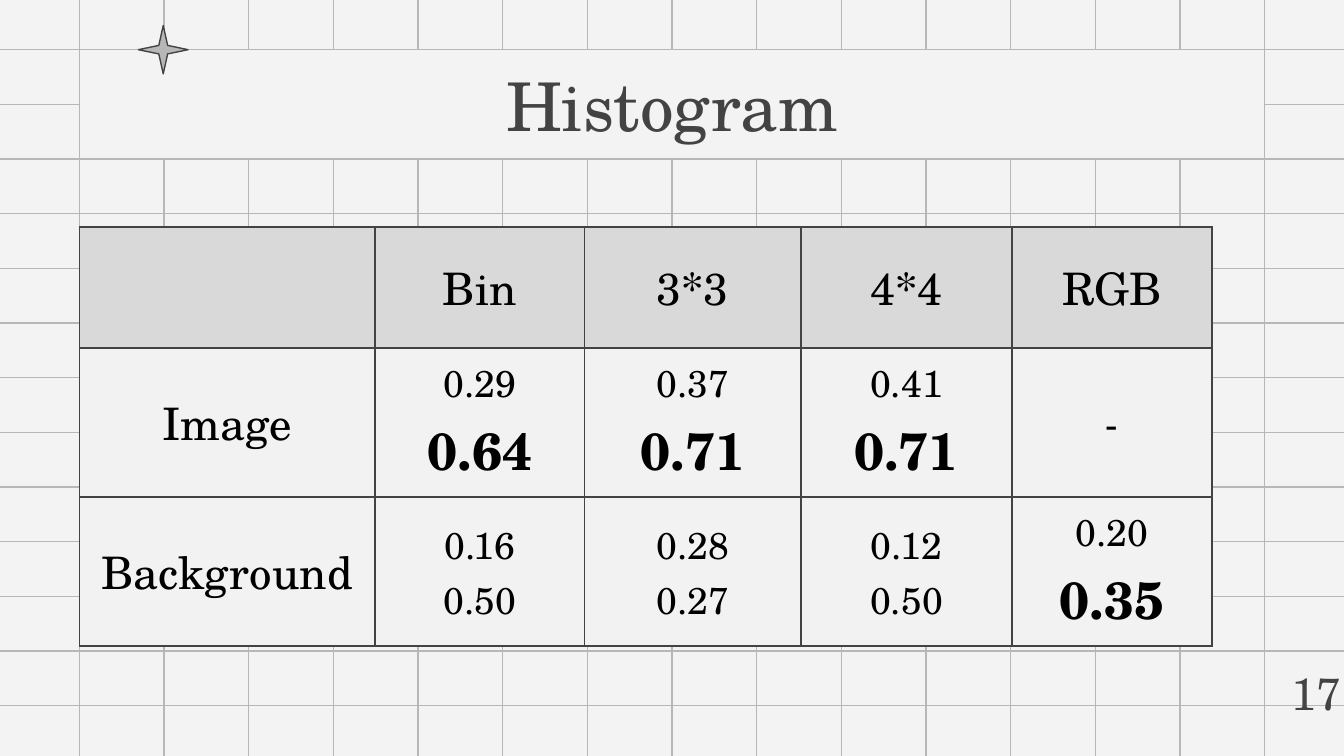
from lxml import etree
from pptx import Presentation
from pptx.dml.color import RGBColor
from pptx.enum import shapes, text
from pptx.oxml import ns
from pptx.util import Inches, Pt

PAPER = RGBColor(0xF3, 0xF3, 0xF3)
GRID = RGBColor(0xB7, 0xB7, 0xB7)
INK = RGBColor(0x43, 0x43, 0x43)
BLACK = RGBColor(0, 0, 0)
HEADER = RGBColor(0xD9, 0xD9, 0xD9)
BODY = RGBColor(0xF2, 0xF2, 0xF2)
FONT = "TeX Gyre Schola"

COLUMN_WIDTHS = [2.2, 1.56, 1.61, 1.57, 1.49]
ROW_HEIGHTS = [0.9, 1.09, 1.09]
ROWS = [
    ["", "Bin", "3*3", "4*4", "RGB"],
    ["Image", "0.29\n0.64", "0.37\n0.71", "0.41\n0.71", "-"],
    ["Background", "0.16\n0.50", "0.28\n0.27", "0.12\n0.50", "0.20\n0.35"],
]
BEST = {(1, 1), (1, 2), (1, 3), (2, 4)}  # cells whose second value stands out


def format_paragraph(paragraph, size, color, alignment=text.PP_ALIGN.CENTER, bold=False):
    paragraph.alignment = alignment
    for run in paragraph.runs:
        run.font.name = FONT
        run.font.size = Pt(size)
        run.font.bold = bold
        run.font.color.rgb = color


def style_shape(shape, fill, line):
    shape.fill.solid()
    shape.fill.fore_color.rgb = fill
    shape.line.color.rgb = line
    shape.line.width = Pt(0.75)


def set_margins(text_frame, margin):
    text_frame.margin_left = text_frame.margin_right = Inches(margin)
    text_frame.margin_top = text_frame.margin_bottom = Inches(margin)
    text_frame.vertical_anchor = text.MSO_ANCHOR.MIDDLE


def add_grid_line(slide, x1, y1, x2, y2):
    line = slide.shapes.add_connector(
        shapes.MSO_CONNECTOR.STRAIGHT, Inches(x1), Inches(y1), Inches(x2), Inches(y2))
    line.line.color.rgb = GRID
    line.line.width = Pt(0.75)
    etree.SubElement(line._element.spPr, ns.qn("a:effectLst"))


def add_grid(slide):
    """Rule the page in four quarters that meet at its centre."""
    columns = [0.59 + 0.63 * i for i in range(15)]
    rows = [0.37 + 4.88 / 12 * i for i in range(13)]
    for top, bottom, quarter_rows in [(-0.03, 2.81, rows[:6]), (2.81, 5.66, rows[6:])]:
        for left, right, quarter_columns in [(-0.04, 5, columns[:7]), (5, 10.04, columns[7:])]:
            for x in quarter_columns:
                add_grid_line(slide, x, top, x, bottom)
            for y in quarter_rows:
                add_grid_line(slide, left, y, right, y)


def add_title(slide, left, top, width, height):
    """Place the title panel, above the grid, with a star on its top edge."""
    title = slide.shapes.title
    slide.shapes._spTree.append(title._element)
    title.left, title.top = Inches(left), Inches(top)
    title.width, title.height = Inches(width), Inches(height)
    style_shape(title, PAPER, GRID)
    title.text_frame.text = "Histogram"
    set_margins(title.text_frame, 0.1)
    format_paragraph(title.text_frame.paragraphs[0], 36, INK)

    star = slide.shapes.add_shape(
        shapes.MSO_SHAPE.STAR_4_POINT, Inches(left + 0.44), Inches(top - 0.18),
        Inches(0.37), Inches(0.36))
    star.adjustments[0] = 0.125
    star.shadow.inherit = False
    style_shape(star, GRID, INK)


def set_borders(cell):
    properties = cell._tc.get_or_add_tcPr()
    for index, side in enumerate(["lnL", "lnR", "lnT", "lnB"]):
        border = etree.Element(ns.qn(f"a:{side}"), w=str(Pt(1)))
        fill = etree.SubElement(border, ns.qn("a:solidFill"))
        etree.SubElement(fill, ns.qn("a:srgbClr"), val=str(INK))
        properties.insert(index, border)


def fill_cell(cell, words, row, column):
    cell.text_frame.text = words
    cell.vertical_anchor = text.MSO_ANCHOR.MIDDLE
    cell.fill.solid()
    cell.fill.fore_color.rgb = HEADER if row == 0 else BODY
    size = 24 if row == 0 or column == 0 else 20
    for index, paragraph in enumerate(cell.text_frame.paragraphs):
        best = index == 1 and (row, column) in BEST
        format_paragraph(paragraph, 28 if best else size, BLACK, bold=best)
    set_borders(cell)


def add_results_table(slide, left, top):
    table = slide.shapes.add_table(
        len(ROWS), len(COLUMN_WIDTHS), Inches(left), Inches(top),
        Inches(sum(COLUMN_WIDTHS)), Inches(sum(ROW_HEIGHTS))).table
    table.first_row = table.horz_banding = False
    for column, width in zip(table.columns, COLUMN_WIDTHS):
        column.width = Inches(width)
    for row, height in zip(table.rows, ROW_HEIGHTS):
        row.height = Inches(height)
    for row, values in enumerate(ROWS):
        for column, words in enumerate(values):
            fill_cell(table.cell(row, column), words, row, column)


def add_page_number(slide, left, top, width, height):
    box = slide.shapes.add_textbox(Inches(left), Inches(top), Inches(width), Inches(height))
    box.text_frame.text = "17"
    box.text_frame.word_wrap = False
    set_margins(box.text_frame, 0.1)
    paragraph = box.text_frame.paragraphs[0]
    paragraph.space_after = Pt(12)
    format_paragraph(paragraph, 24, INK, text.PP_ALIGN.LEFT)


def main():
    presentation = Presentation()
    presentation.slide_width = Inches(10)
    presentation.slide_height = presentation.slide_width * 9 // 16
    slide = presentation.slides.add_slide(presentation.slide_layouts[5])
    slide.background.fill.solid()
    slide.background.fill.fore_color.rgb = PAPER
    add_grid(slide)
    add_title(slide, 0.59, 0.37, 8.82, 0.81)
    add_results_table(slide, 0.59, 1.69)
    add_page_number(slide, 9.51, 4.95, 0.57, 0.4)
    presentation.save("out.pptx")


if __name__ == "__main__":
    main()
